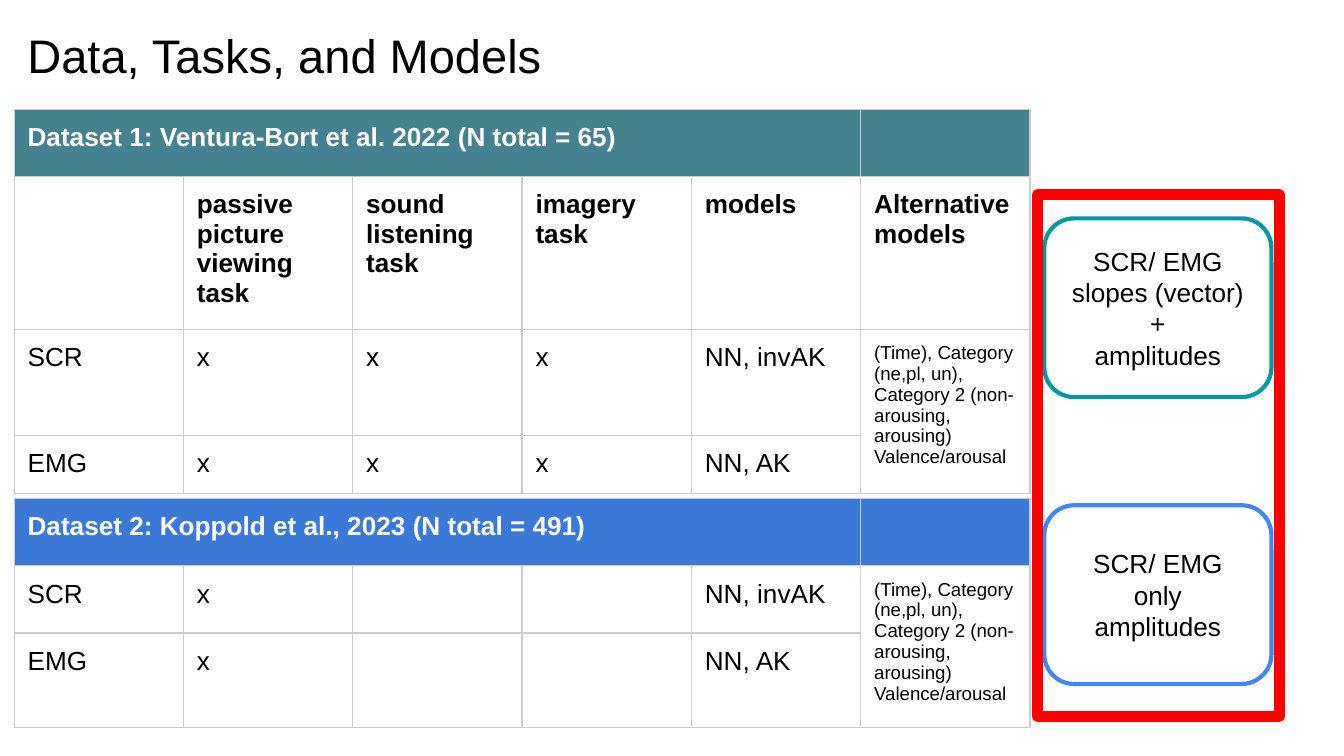
import pptx
import pptx.util
import pptx.dml.color
import pptx.enum.shapes
import pptx.enum.text
import pptx.oxml
import pptx.oxml.ns

PX = 4572  # 200 px to the inch
FONT = "Arial"
BLACK, WHITE, GRID = "000000", "FFFFFF", "CCCCCC"
SIDES = ("left", "right", "top", "bottom")
MARGIN = 20

# Content
TITLE = "Data, Tasks, and Models"
ALTERNATIVES = ("(Time), Category (ne,pl, un),\n"
                "Category 2 (non-arousing, arousing) Valence/arousal")
TABLES = [
    {"top": 163, "fill": "45818E", "heights": [78, 198, 158, 76], "bold_rows": 2,
     "rows": [
         ["Dataset 1: Ventura-Bort et al. 2022 (N total = 65)"],
         ["", "passive picture viewing task", "sound listening task",
          "imagery task", "models", "Alternative models"],
         ["SCR", "x", "x", "x", "NN, invAK", ALTERNATIVES],
         ["EMG", "x", "x", "x", "NN, AK"]]},
    {"top": 742, "fill": "3C78D8", "heights": [84, 84, 84], "bold_rows": 1,
     "rows": [
         ["Dataset 2: Koppold et al., 2023 (N total = 491)"],
         ["SCR", "x", "", "", "NN, invAK", ALTERNATIVES],
         ["EMG", "x", "", "", "NN, AK"]]},
]
TABLE_LEFT, COLUMN, COLUMNS = 21, 252, 6
FEATURES = [
    (325, "0097A7", "SCR/ EMG slopes (vector) +\namplitudes"),
    (752, "4285F4", "SCR/ EMG only\namplitudes"),
]
FRAME = (1544, 290, 360, 776)


def rgb(value):
    return pptx.dml.color.RGBColor.from_string(value)


def box(*lengths):
    return [n * PX for n in lengths]


def write(tf, text, size, color=BLACK, bold=False, **paragraph):
    for i, line in enumerate(text.split("\n")):
        p = tf.paragraphs[0] if i == 0 else tf.add_paragraph()
        for name, value in paragraph.items():
            setattr(p, name, value)
        r = p.add_run()
        r.text = line
        font = {"name": FONT, "size": pptx.util.Pt(size), "bold": bold}
        for name, value in font.items():
            setattr(r.font, name, value)
        r.font.color.rgb = rgb(color)


def set_frame(tf, anchor):
    frame = {"word_wrap": True, "vertical_anchor": anchor}
    frame.update({f"margin_{side}": MARGIN * PX for side in SIDES})
    for name, value in frame.items():
        setattr(tf, name, value)


def style_cell(cell, fill):
    for side in SIDES:
        setattr(cell, f"margin_{side}", MARGIN * PX)
    # Empty cells keep the same line spacing and font as filled ones
    p = cell.text_frame.paragraphs[0]
    p.line_spacing = 1.0
    p._p.append(pptx.oxml.parse_xml(
        f'<a:endParaRPr {pptx.oxml.ns.nsdecls("a")}>'
        f'<a:latin typeface="{FONT}"/></a:endParaRPr>'))
    # Borders come before the fill in the cell properties
    tc_pr = cell._tc.get_or_add_tcPr()
    for tag in ("lnL", "lnR", "lnT", "lnB"):
        tc_pr.append(pptx.oxml.parse_xml(
            f'<a:{tag} {pptx.oxml.ns.nsdecls("a")} w="9525"><a:solidFill>'
            f'<a:srgbClr val="{GRID}"/></a:solidFill></a:{tag}>'))
    if fill:
        cell.fill.solid()
        cell.fill.fore_color.rgb = rgb(fill)
    else:
        cell.fill.background()


def add_dataset(slide, data):
    heights, rows = data["heights"], data["rows"]
    table = slide.shapes.add_table(
        len(rows), COLUMNS, *box(TABLE_LEFT, data["top"],
                                 COLUMN * COLUMNS, sum(heights))).table
    for column in table.columns:
        column.width = COLUMN * PX
    for i, height in enumerate(heights):
        table.rows[i].height = height * PX
        for j in range(COLUMNS):
            style_cell(table.cell(i, j), None if i else data["fill"])
    # Heading spans all but the last column; the last two rows share a cell
    last = len(rows) - 1
    table.cell(0, 0).merge(table.cell(0, COLUMNS - 2))
    table.cell(last - 1, COLUMNS - 1).merge(table.cell(last, COLUMNS - 1))
    for i, row in enumerate(rows):
        for j, text in enumerate(row):
            if text:
                write(table.cell(i, j).text_frame, text,
                      10 if text == ALTERNATIVES else 14,
                      BLACK if i else WHITE, i < data["bold_rows"],
                      line_spacing=1.0)


def add_outline(slide, kind, place, color, width):
    sp = slide.shapes.add_shape(kind, *box(*place))
    sp.shadow.inherit = False
    sp.line.color.rgb = rgb(color)
    sp.line.width = pptx.util.Pt(width)
    return sp


prs = pptx.Presentation()
prs.slide_width, prs.slide_height = box(2000, 1125)
s = prs.slides.add_slide(prs.slide_layouts[6])
shape = pptx.enum.shapes.MSO_SHAPE
anchor = pptx.enum.text.MSO_ANCHOR

# Title
tf = s.shapes.add_textbox(*box(21, 17, 1864, 126)).text_frame
set_frame(tf, anchor.BOTTOM)
write(tf, TITLE, 25.2)

# Dataset tables
for data in TABLES:
    add_dataset(s, data)

# Feature boxes
for top, color, text in FEATURES:
    sp = add_outline(s, shape.ROUNDED_RECTANGLE, (1554, top, 338, 266), color, 2.25)
    sp.fill.solid()
    sp.fill.fore_color.rgb = rgb(WHITE)
    set_frame(sp.text_frame, anchor.MIDDLE)
    write(sp.text_frame, text, 14, alignment=pptx.enum.text.PP_ALIGN.CENTER)

# Red highlight frame
add_outline(s, shape.RECTANGLE, FRAME, "FF0000", 6).fill.background()

prs.save("out.pptx")
